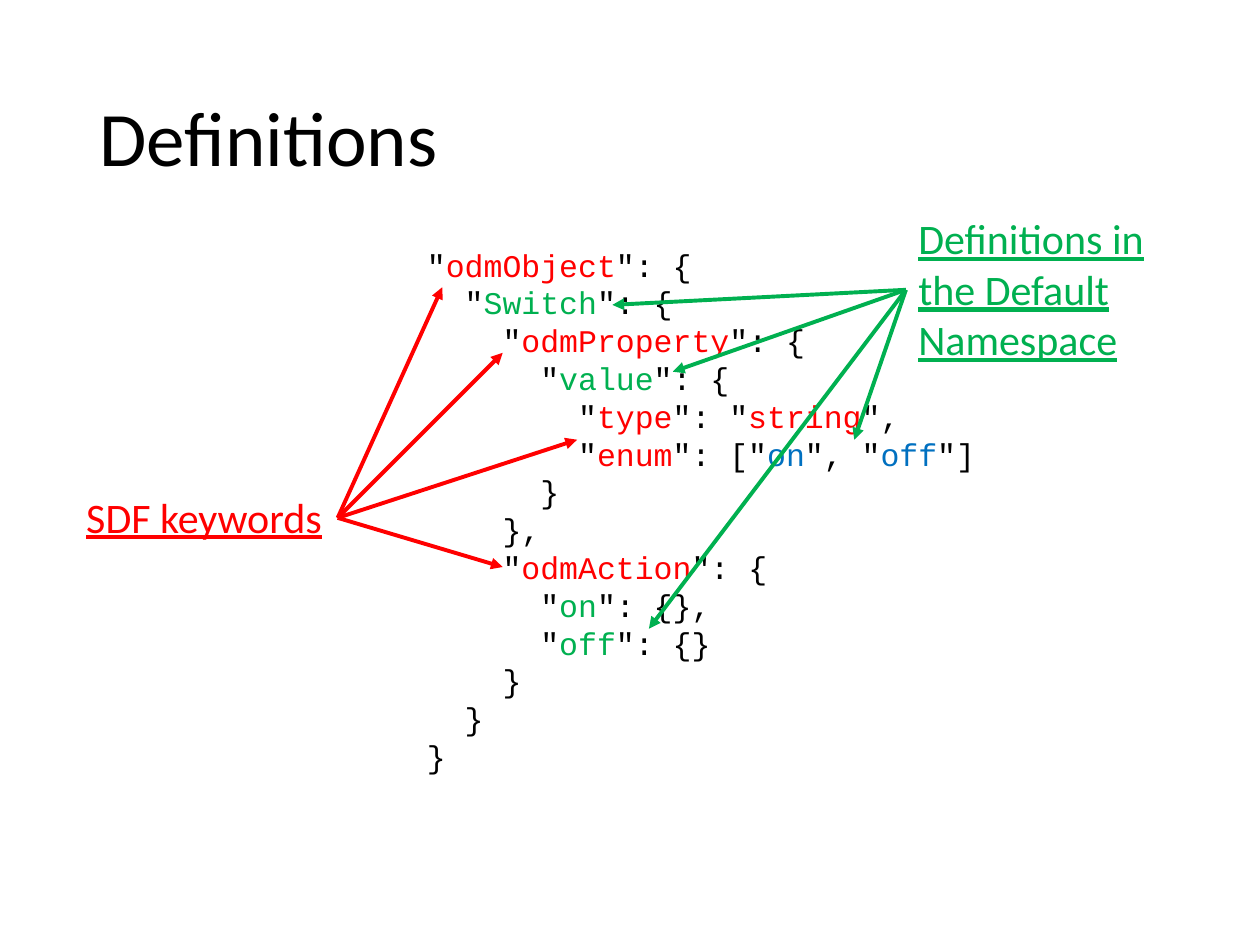
from dataclasses import dataclass

from lxml.etree import SubElement
from pptx import Presentation
from pptx.dml.color import RGBColor
from pptx.enum.shapes import MSO_CONNECTOR
from pptx.enum.text import MSO_ANCHOR, PP_ALIGN
from pptx.oxml.ns import qn
from pptx.util import Inches, Pt

COLORS = {
    "plain": "000000",
    "keyword": "FF0000",
    "definition": "00B050",
    "value": "0070C0",
}
INDENT = 0.3


@dataclass
class CodeLine:
    level: int
    tokens: list[tuple[str, str]]


@dataclass
class Label:
    text: str
    box: tuple[float, float, float, float]
    color: str
    align: PP_ALIGN
    start: tuple[float, float]
    targets: list[tuple[float, float]]


def plain(level: int, text: str) -> CodeLine:
    return CodeLine(level, [(text, "plain")])


def entry(level: int, name: str, color: str, ending: str = '": {') -> CodeLine:
    return CodeLine(level, [('"', "plain"), (name, color), (ending, "plain")])


type_line = entry(4, "type", "keyword", '": "')
type_line.tokens += [("string", "keyword"), ('",', "plain")]
enum_line = entry(4, "enum", "keyword", '": ["')
enum_line.tokens += [("on", "value"), ('", "', "plain"), ("off", "value"), ('"]', "plain")]

CODE = [
    entry(0, "odmObject", "keyword"),
    entry(1, "Switch", "definition"),
    entry(2, "odmProperty", "keyword"),
    entry(3, "value", "definition"),
    type_line,
    enum_line,
    plain(3, "}"),
    plain(2, "},"),
    entry(2, "odmAction", "keyword"),
    entry(3, "on", "definition", '": {},'),
    entry(3, "off", "definition", '": {}'),
    plain(2, "}"),
    plain(1, "}"),
    plain(0, "}"),
]

LABELS = [
    Label("SDF keywords", (0.56, 3.85, 2.12, 0.5), "keyword", PP_ALIGN.CENTER,
          (2.68, 4.11), [(3.51, 2.28), (3.99, 2.8), (4.58, 3.49), (3.99, 4.5)]),
    Label("Definitions in the Default Namespace", (7.19, 1.64, 2.07, 1.31), "definition",
          PP_ALIGN.LEFT, (7.19, 2.3), [(4.86, 2.42), (5.34, 2.95), (6.78, 3.49), (5.15, 4.99)]),
]


def add_text(paragraph, text: str, *, size: float, color: str = "plain",
             font: str = "Calibri", underline: bool = False) -> None:
    run = paragraph.add_run()
    run.text = text
    run.font.name = font
    run.font.size = Pt(size)
    run.font.underline = underline
    run.font.color.rgb = RGBColor.from_string(COLORS[color])


def add_box(slide, box: tuple[float, float, float, float]):
    frame = slide.shapes.add_textbox(*map(Inches, box)).text_frame
    frame.word_wrap = True
    return frame


def add_title(slide, text: str) -> None:
    title = slide.shapes.title
    title.left, title.top, title.width, title.height = map(Inches, (0.69, 0.4, 8.62, 1.45))
    title.text_frame.vertical_anchor = MSO_ANCHOR.MIDDLE
    paragraph = title.text_frame.paragraphs[0]
    paragraph.alignment = PP_ALIGN.LEFT
    paragraph.line_spacing = 0.9
    add_text(paragraph, text, size=44)


def add_code(slide, lines: list[CodeLine]) -> None:
    frame = add_box(slide, (3.29, 1.9, 5, 4.34))
    for index, line in enumerate(lines):
        paragraph = frame.add_paragraph() if index else frame.paragraphs[0]
        paragraph.line_spacing = Pt(21.6)
        properties = paragraph._p.get_or_add_pPr()
        properties.set("marL", str(Inches(INDENT * line.level)))
        properties.set("indent", "0")
        for text, color in line.tokens:
            add_text(paragraph, text, size=18, color=color, font="Courier New")


def add_arrow(slide, start: tuple[float, float], end: tuple[float, float], color: str) -> None:
    arrow = slide.shapes.add_connector(MSO_CONNECTOR.STRAIGHT, *map(Inches, start + end))
    arrow.line.width = Pt(2.25)
    arrow.line.color.rgb = RGBColor.from_string(COLORS[color])
    SubElement(arrow.line._get_or_add_ln(), qn("a:tailEnd"), type="triangle")
    SubElement(arrow._element.spPr, qn("a:effectLst"))


def add_label(slide, label: Label) -> None:
    paragraph = add_box(slide, label.box).paragraphs[0]
    paragraph.alignment = label.align
    add_text(paragraph, label.text, size=24, color=label.color, underline=True)


presentation = Presentation()
presentation.slide_width = Inches(10)
presentation.slide_height = Inches(7.5)
slide = presentation.slides.add_slide(presentation.slide_layouts[5])
add_title(slide, "Definitions")
add_code(slide, CODE)
for label in LABELS:
    add_label(slide, label)
for label in LABELS:
    for target in label.targets:
        add_arrow(slide, label.start, target, label.color)
presentation.save("out.pptx")
